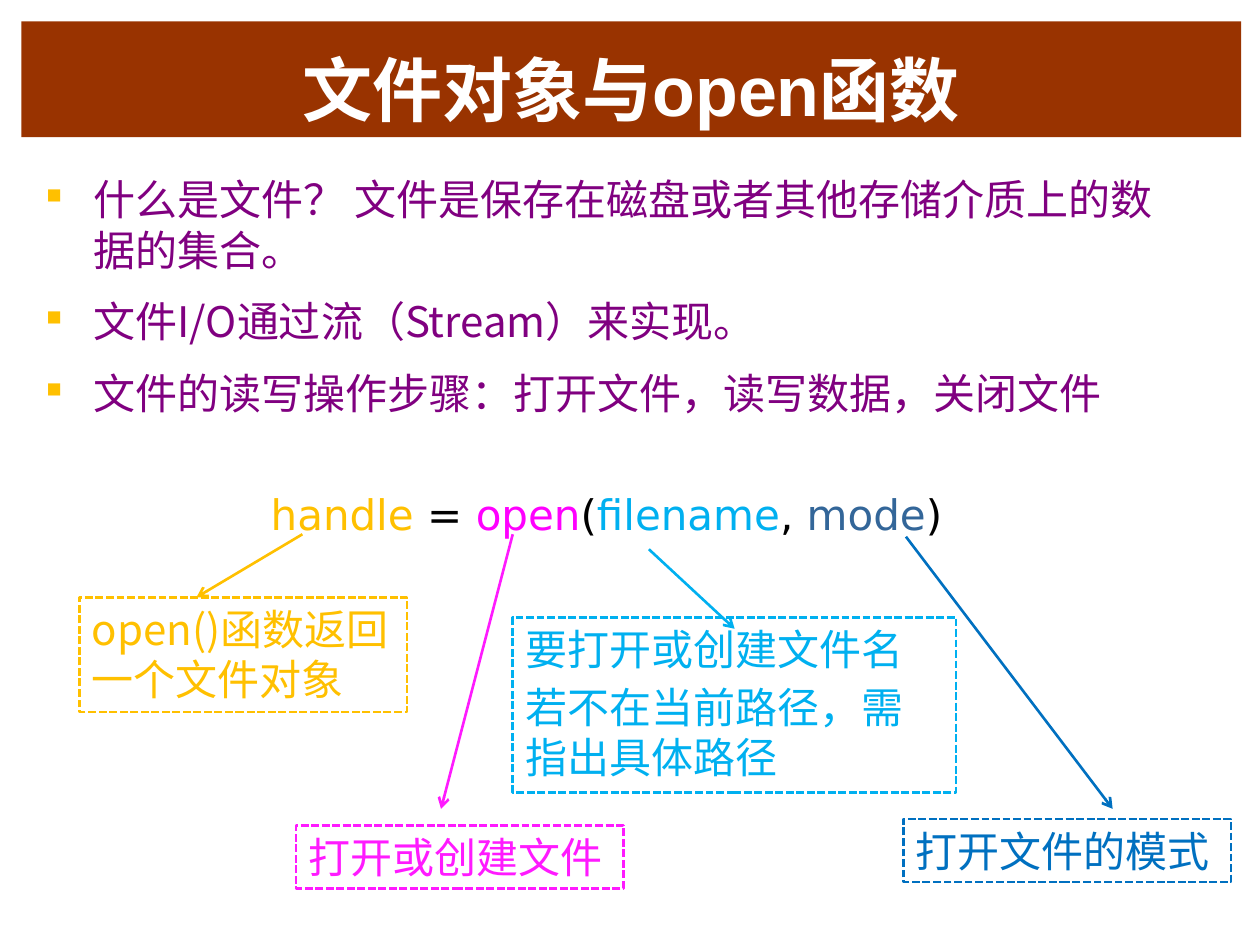
import pptx
import pptx.util
import pptx.dml.color
import pptx.enum.dml
import pptx.enum.shapes
import pptx.enum.text
import pptx.oxml.ns
from lxml import etree

Pt = pptx.util.Pt
PP = pptx.enum.text

COLORS = {
    "banner": "993300", "white": "FFFFFF", "black": "000000",
    "body": "800080", "gold": "FFC000", "magenta": "FF00FF",
    "pink": "FF1AFF", "sky": "00B0F0", "steel": "336699", "blue": "0070C0",
}
CJK, CODE, HEADING = "Noto Sans CJK JP", "DejaVu Sans", "Arial"
TEXT_SIZE, LINE_PITCH = 24, 28.8

TITLE = "文件对象与open函数"
POINTS = [
    "什么是文件？ 文件是保存在磁盘或者其他存储介质上的数据的集合。",
    "文件I/O通过流（Stream）来实现。",
    "文件的读写操作步骤：打开文件，读写数据，关闭文件",
]
CALL = [
    ("handle", "gold"), (" = ", "black"), ("open", "magenta"), ("(", "black"),
    ("filename", "sky"), (", ", "black"), ("mode", "steel"), (")", "black"),
]
# paragraphs, colour, box (left, top, width, height), arrow (from x, y, to x, y)
NOTES = [
    (["打开或创建文件"], "pink",
     (169.2, 471.6, 187.2, 36), (293, 305.3, 252, 462.2)),
    (["要打开或创建文件名", "若不在当前路径，需指出具体路径"], "sky",
     (293, 352.8, 253.4, 100.1), (370.8, 313.9, 419.8, 359.3)),
    (["open()函数返回一个文件对象"], "gold",
     (45.4, 341.3, 187.2, 65.5), (172.8, 305.3, 112.3, 341.3)),
    (["打开文件的模式"], "blue",
     (516.2, 468, 187.2, 36), (517.7, 306.7, 635.8, 462.2)),
]


def rgb(color):
    return pptx.dml.color.RGBColor.from_string(COLORS[color])


def add_xml(parent, tag, **attributes):
    return etree.SubElement(parent, pptx.oxml.ns.qn(tag), attributes)


def format_run(run, color, face=CJK, size=TEXT_SIZE, bold=False):
    run.font.size = Pt(size)
    run.font.bold = bold
    run.font.name = face
    run.font.color.rgb = rgb(color)
    add_xml(run._r.get_or_add_rPr(), "a:ea", typeface=CJK)


def write_paragraphs(frame, texts, color, gap):
    frame.word_wrap = True
    frame.vertical_anchor = PP.MSO_ANCHOR.TOP
    frame.text = "\n".join(texts)
    for index, paragraph in enumerate(frame.paragraphs):
        paragraph.alignment = PP.PP_ALIGN.LEFT
        paragraph.line_spacing = Pt(LINE_PITCH)
        paragraph.space_before = Pt(gap if index else 0)
        format_run(paragraph.runs[0], color)


def add_bullet(paragraph, color, indent):
    properties = paragraph._p.get_or_add_pPr()
    properties.set("marL", str(Pt(indent)))
    properties.set("indent", str(-Pt(indent)))
    add_xml(add_xml(properties, "a:buClr"), "a:srgbClr", val=COLORS[color])
    add_xml(properties, "a:buSzPct", val="50000")
    add_xml(properties, "a:buChar", char="■")


def add_note(slide, texts, color, box):
    note = slide.shapes.add_shape(
        pptx.enum.shapes.MSO_SHAPE.RECTANGLE, *map(Pt, box))
    note.shadow.inherit = False
    note.fill.background()
    note.line.color.rgb = rgb(color)
    note.line.width = Pt(1.5)
    note.line.dash_style = pptx.enum.dml.MSO_LINE.SQUARE_DOT
    write_paragraphs(note.text_frame, texts, color, gap=4.3)


def add_arrow(slide, color, ends):
    arrow = slide.shapes.add_connector(
        pptx.enum.shapes.MSO_CONNECTOR.STRAIGHT, *map(Pt, ends))
    arrow.line.color.rgb = rgb(color)
    arrow.line.width = Pt(1.5)
    add_xml(arrow.line._get_or_add_ln(), "a:tailEnd", type="arrow")
    add_xml(arrow._element.spPr, "a:effectLst")


def main():
    deck = pptx.Presentation()
    deck.slide_width, deck.slide_height = Pt(720), Pt(540)
    slide = deck.slides.add_slide(deck.slide_layouts[5])

    # Title banner
    title = slide.shapes.title
    title.left, title.top, title.width, title.height = map(
        Pt, (12.2, 12.2, 697, 66.2))
    title.fill.solid()
    title.fill.fore_color.rgb = rgb("banner")
    title.text_frame.text = TITLE
    title.text_frame.auto_size = PP.MSO_AUTO_SIZE.NONE
    title.text_frame.vertical_anchor = PP.MSO_ANCHOR.BOTTOM
    heading = title.text_frame.paragraphs[0]
    heading.alignment = PP.PP_ALIGN.CENTER
    format_run(heading.runs[0], "white", HEADING, 40, True)

    # Bullet points
    points = slide.shapes.add_textbox(*map(Pt, (19.4, 95.8, 648, 151.2)))
    write_paragraphs(points.text_frame, POINTS, "body", gap=12)
    for paragraph in points.text_frame.paragraphs:
        add_bullet(paragraph, "gold", 27)

    # The call, one colour for each part
    call = slide.shapes.add_textbox(*map(Pt, (88.6, 275.8, 509.8, 36)))
    call.text_frame.word_wrap = True
    statement = call.text_frame.paragraphs[0]
    statement._p.get_or_add_pPr().set("marL", str(Pt(59)))
    for part, color in CALL:
        run = statement.add_run()
        run.text = part
        format_run(run, color, CODE)

    # Explanations and their arrows
    for texts, color, box, ends in NOTES:
        add_note(slide, texts, color, box)
        add_arrow(slide, color, ends)

    deck.save("out.pptx")


if __name__ == "__main__":
    main()
